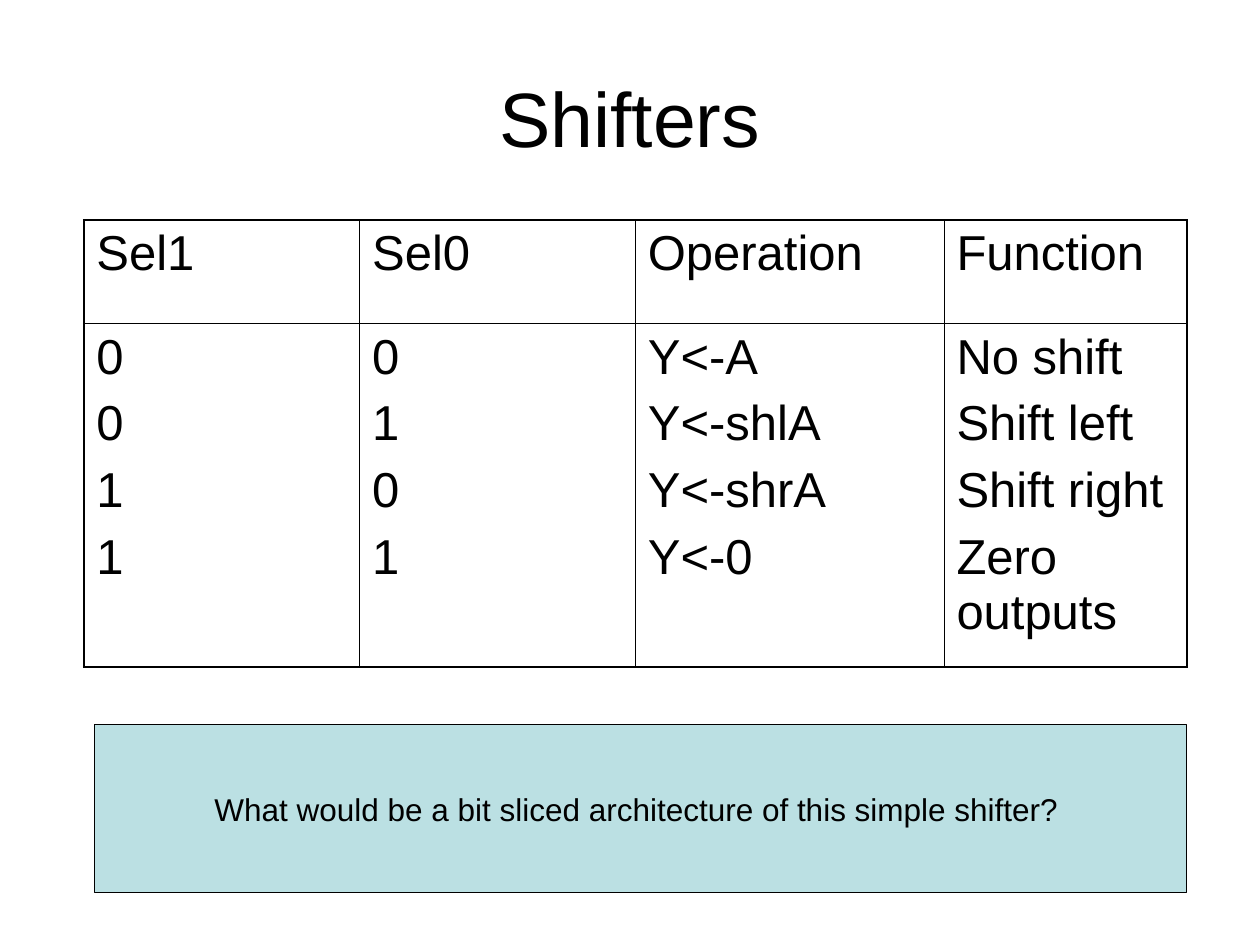
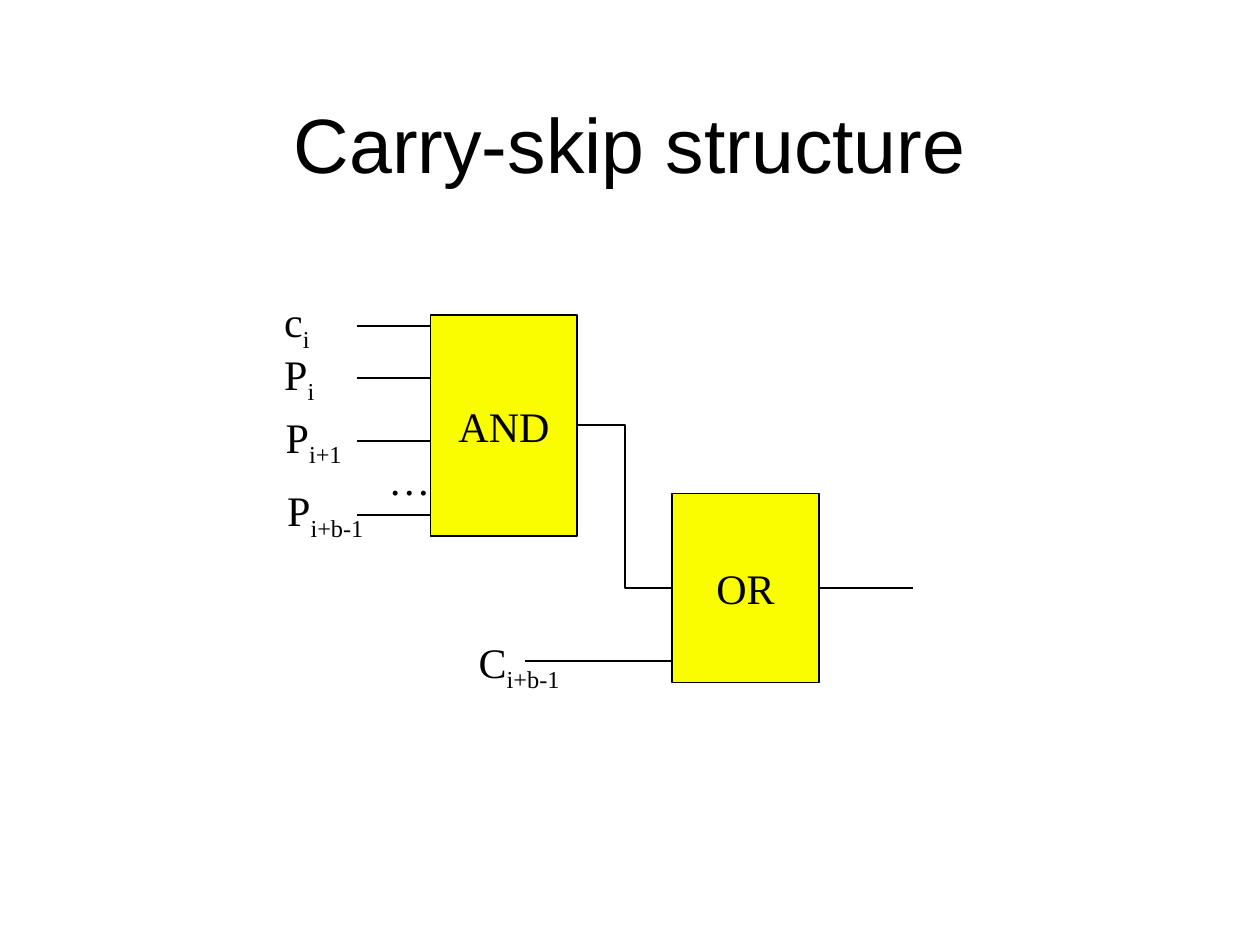
"""Build two slides on shifters and a carry-skip adder structure."""
from dataclasses import dataclass

from lxml.etree import SubElement
from pptx import Presentation
from pptx.dml.color import RGBColor
from pptx.enum.shapes import MSO_CONNECTOR, MSO_SHAPE
from pptx.enum.text import MSO_ANCHOR, MSO_AUTO_SIZE, PP_ALIGN
from pptx.oxml.ns import qn
from pptx.util import Cm, Pt

BLACK, PALE_BLUE, YELLOW = "000000", "BBE0E3", "FAFD00"
SANS, SERIF = "Arial", "Times New Roman"
LEFT_SITE, RIGHT_SITE = 1, 3


@dataclass(frozen=True)
class Block:
    """A filled rectangle with centred text, in centimetres."""
    text: str
    x: float
    y: float
    w: float
    h: float
    fill: str = YELLOW
    font: str = SERIF
    size: float = 24
    line: float = 1


@dataclass(frozen=True)
class Label:
    """A signal name with its subscript, in centimetres."""
    base: str
    sub: str
    x: float
    y: float
    w: float
    h: float = 1.42


@dataclass(frozen=True)
class Wire:
    """A horizontal line, in centimetres."""
    x1: float
    x2: float
    y: float


QUESTION = Block("What would be a bit sliced architecture of this simple shifter? ",
                 1.91, 14.61, 22.01, 3.39, PALE_BLUE, SANS, 18, 0.75)
AND = Block("AND", 8.68, 6.35, 2.96, 4.45)
OR = Block("OR", 13.55, 9.95, 2.96, 3.81)
INPUT_START = 7.2
LABELS = [
    Label("c", "i", 5.48, 5.84, 1.02),
    Label("P", "i", 5.48, 6.9, 1.12),
    Label("P", "i+1", 5.51, 8.17, 1.65),
    Label("P", "i+b-1", 5.54, 9.65, 2.1),
    Label("…", "", 7.58, 9.02, 1.35, 1.27),
    Label("C", "i+b-1", 9.4, 12.7, 2.2),
]
WIRES = [Wire(INPUT_START, AND.x, y) for y in (6.57, 7.62, 8.89, 10.38)] + [
    Wire(10.58, OR.x, 13.33),
    Wire(OR.x + OR.w, 18.41, 11.86),
]
COL_WIDTHS = [5.56, 5.56, 6.22, 4.9]
ROW_HEIGHTS = [2.08, 6.93]
COLUMNS = {
    "Sel1": ["0", "0", "1", "1"],
    "Sel0": ["0", "1", "0", "1"],
    "Operation": ["Y<-A", "Y<-shlA", "Y<-shrA", "Y<-0"],
    "Function": ["No shift", "Shift left", "Shift right", "Zero outputs"],
}


def rgb(value: str) -> RGBColor:
    """Turn a hex string into a colour."""
    return RGBColor.from_string(value)


def set_font(p, name: str, size: float) -> None:
    """Set the font of a whole paragraph."""
    p.font.name, p.font.size = name, Pt(size)
    p.font.color.rgb = rgb(BLACK)


def add_title(s, text: str, anchor: MSO_ANCHOR) -> None:
    """Add the slide title."""
    tf = s.shapes.add_textbox(Cm(1.27), Cm(0.76), Cm(22.86), Cm(3.18)).text_frame
    tf.word_wrap, tf.vertical_anchor = True, anchor
    p = tf.paragraphs[0]
    p.text, p.alignment = text, PP_ALIGN.CENTER
    set_font(p, SANS, 44)


def add_block(s, block: Block):
    """Draw a block and return its shape."""
    sp = s.shapes.add_shape(MSO_SHAPE.RECTANGLE, Cm(block.x), Cm(block.y),
                            Cm(block.w), Cm(block.h))
    sp.shadow.inherit = False
    sp.fill.solid()
    sp.fill.fore_color.rgb = rgb(block.fill)
    sp.line.color.rgb, sp.line.width = rgb(BLACK), Pt(block.line)
    tf = sp.text_frame
    tf.word_wrap, tf.vertical_anchor = False, MSO_ANCHOR.MIDDLE
    p = tf.paragraphs[0]
    p.text, p.alignment = block.text, PP_ALIGN.CENTER
    set_font(p, block.font, block.size)
    return sp


def add_label(s, label: Label) -> None:
    """Write a signal name with its subscript."""
    tf = s.shapes.add_textbox(Cm(label.x), Cm(label.y), Cm(label.w), Cm(label.h)).text_frame
    tf.word_wrap, tf.auto_size = False, MSO_AUTO_SIZE.SHAPE_TO_FIT_TEXT
    p = tf.paragraphs[0]
    p.add_run().text = label.base
    if label.sub:
        r = p.add_run()
        r.text = label.sub
        r.font._element.set("baseline", "-25000")
    set_font(p, SERIF, 24)


def add_line(s, kind: MSO_CONNECTOR, x1: float = 0, y1: float = 0,
             x2: float = 0, y2: float = 0):
    """Draw a black connector and return it."""
    c = s.shapes.add_connector(kind, Cm(x1), Cm(y1), Cm(x2), Cm(y2))
    c.line.color.rgb, c.line.width = rgb(BLACK), Pt(1)
    SubElement(c._element.spPr, qn("a:effectLst"))
    return c


def set_border(cell, side: str, width: float) -> None:
    """Give one side of a cell a black border."""
    ln = SubElement(cell._tc.get_or_add_tcPr(), qn(f"a:ln{side}"), w=str(Pt(width)))
    SubElement(SubElement(ln, qn("a:solidFill")), qn("a:srgbClr"), val=BLACK)


def fill_cell(cell, lines: list[str], outer: dict[str, bool]) -> None:
    """Write the lines of a cell and border it, heavier on outer sides."""
    tf = cell.text_frame
    tf.text = "\n".join(lines)
    for p in tf.paragraphs:
        p.space_before = Pt(7)
        set_font(p, SANS, 28)
    for side, is_outer in outer.items():
        set_border(cell, side, 1.08 if is_outer else 0.45)
    cell.fill.background()


def add_function_table(s) -> None:
    """Draw the table of shifter functions."""
    table = s.shapes.add_table(len(ROW_HEIGHTS), len(COLUMNS), Cm(1.69), Cm(4.44),
                               Cm(sum(COL_WIDTHS)), Cm(sum(ROW_HEIGHTS))).table
    table.first_row = table.horz_banding = False
    for row, height in zip(table.rows, ROW_HEIGHTS):
        row.height = Cm(height)
    last_row, last_col = len(ROW_HEIGHTS) - 1, len(COLUMNS) - 1
    for j, (head, values) in enumerate(COLUMNS.items()):
        table.columns[j].width = Cm(COL_WIDTHS[j])
        for i, lines in enumerate(([head], values)):
            fill_cell(table.cell(i, j), lines,
                      {"L": j == 0, "R": j == last_col, "T": i == 0, "B": i == last_row})


def build_shifters(s) -> None:
    """Fill the shifter slide."""
    add_title(s, "Shifters", MSO_ANCHOR.MIDDLE)
    add_function_table(s)
    add_block(s, QUESTION)


def build_carry_skip(s) -> None:
    """Fill the carry-skip slide."""
    add_title(s, "Carry-skip structure", MSO_ANCHOR.BOTTOM)
    and_gate, or_gate = add_block(s, AND), add_block(s, OR)
    for wire in WIRES:
        add_line(s, MSO_CONNECTOR.STRAIGHT, wire.x1, wire.y, wire.x2, wire.y)
    link = add_line(s, MSO_CONNECTOR.ELBOW)
    link.begin_connect(and_gate, RIGHT_SITE)
    link.end_connect(or_gate, LEFT_SITE)
    for label in LABELS:
        add_label(s, label)


def main() -> None:
    """Build and save the presentation."""
    prs = Presentation()
    prs.slide_width, prs.slide_height = Cm(25.4), Cm(19.05)
    for build in (build_shifters, build_carry_skip):
        build(prs.slides.add_slide(prs.slide_layouts[6]))
    prs.save("out.pptx")


if __name__ == "__main__":
    main()
